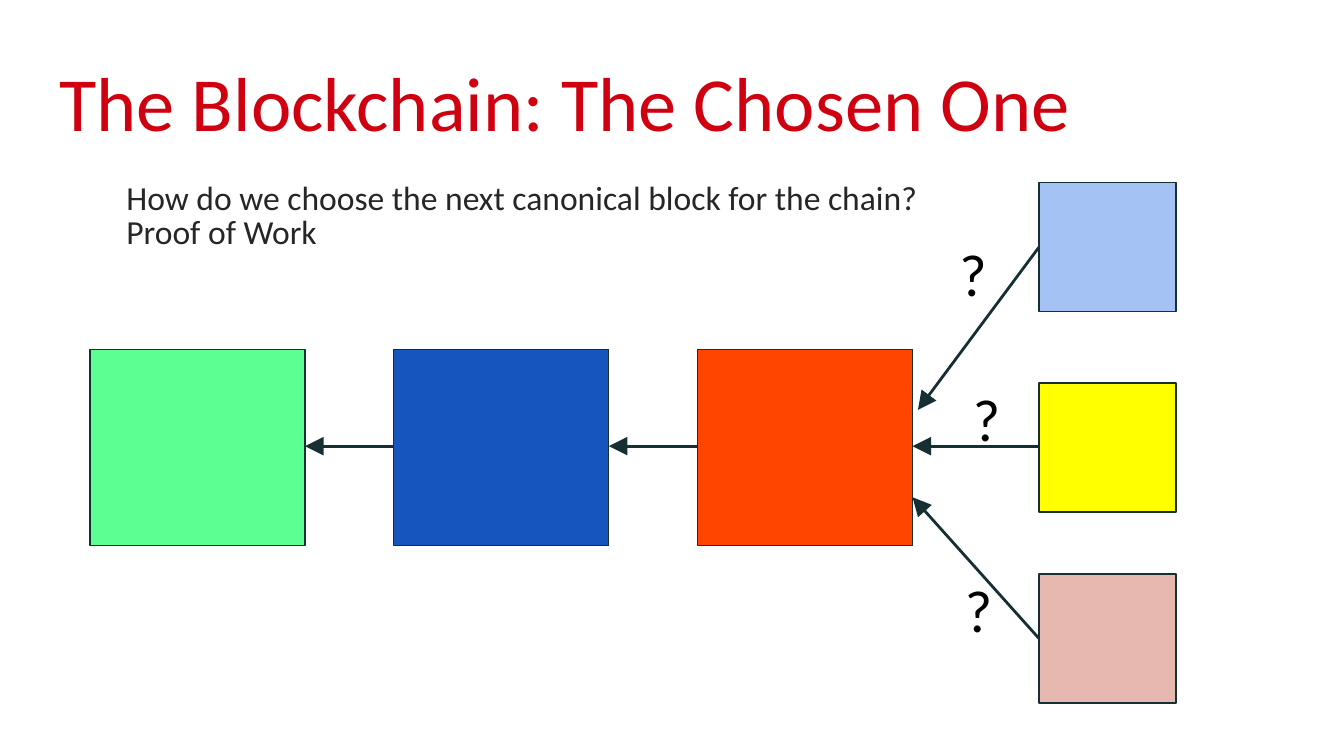
from dataclasses import dataclass

from lxml.etree import SubElement
from pptx import Presentation
from pptx.dml.color import RGBColor
from pptx.enum.shapes import MSO_CONNECTOR, MSO_SHAPE
from pptx.enum.text import MSO_ANCHOR, MSO_AUTO_SIZE, PP_ALIGN
from pptx.oxml.ns import qn
from pptx.util import Inches, Pt


@dataclass(frozen=True)
class Theme:
    title_color: str = "CF000F"
    body_color: str = "262626"
    mark_color: str = "000000"
    outline: str = "162F33"
    text_font: str = "Calibri"
    mark_font: str = "Lato"
    title_size: int = 41
    body_size: int = 18
    mark_size: int = 30
    tight: float = 0.85
    box_line: float = 0.75
    arrow_line: float = 1.5
    inset: float = 0.1


class SlideBuilder:
    def __init__(self, page, theme):
        self.page = page
        self.theme = theme

    def place(self, box, left, top, width, height, anchor=MSO_ANCHOR.TOP):
        box.left, box.top = Inches(left), Inches(top)
        box.width, box.height = Inches(width), Inches(height)
        frame = box.text_frame
        frame.word_wrap = True
        frame.auto_size = MSO_AUTO_SIZE.NONE
        frame.vertical_anchor = anchor
        frame.margin_left = frame.margin_right = Inches(self.theme.inset)
        frame.margin_top = frame.margin_bottom = Inches(self.theme.inset)
        return frame

    def span(self, para, text, font, size, color):
        para.alignment = PP_ALIGN.LEFT
        span = para.add_run()
        span.text = text
        span.font.name = font
        span.font.size = Pt(size)
        span.font.color.rgb = RGBColor.from_string(color)

    def title(self, text, *area):
        theme = self.theme
        frame = self.place(self.page.shapes.title, *area, MSO_ANCHOR.MIDDLE)
        para = frame.paragraphs[0]
        para.line_spacing = theme.tight
        self.span(para, text, theme.text_font, theme.title_size, theme.title_color)

    def body(self, lines, *area):
        theme = self.theme
        frame = self.place(self.page.placeholders[1], *area)
        for index, text in enumerate(lines):
            para = frame.add_paragraph() if index else frame.paragraphs[0]
            para.line_spacing = theme.tight
            para.space_before = Pt(0)
            properties = para._p.get_or_add_pPr()
            properties.set("marL", str(Inches(0.5)))
            properties.set("indent", "0")
            SubElement(properties, qn("a:buNone"))
            self.span(para, text, theme.text_font, theme.body_size, theme.body_color)

    def block(self, color, left, top, width, height):
        box = self.page.shapes.add_shape(
            MSO_SHAPE.FLOWCHART_PROCESS,
            Inches(left), Inches(top), Inches(width), Inches(height))
        box.shadow.inherit = False
        box.fill.solid()
        box.fill.fore_color.rgb = RGBColor.from_string(color)
        box.line.color.rgb = RGBColor.from_string(self.theme.outline)
        box.line.width = Pt(self.theme.box_line)

    def arrow(self, start, end):
        arrow = self.page.shapes.add_connector(
            MSO_CONNECTOR.STRAIGHT, *map(Inches, start + end))
        arrow.line.color.rgb = RGBColor.from_string(self.theme.outline)
        arrow.line.width = Pt(self.theme.arrow_line)
        SubElement(arrow.line._get_or_add_ln(), qn("a:tailEnd"),
                   type="triangle", w="lg", len="lg")
        SubElement(arrow._element.spPr, qn("a:effectLst"))

    def question_mark(self, left, top, width):
        theme = self.theme
        box = self.page.shapes.add_textbox(0, 0, 0, 0)
        frame = self.place(box, left, top, width, 0.63)
        self.span(frame.paragraphs[0], "?", theme.mark_font, theme.mark_size,
                  theme.mark_color)


def main():
    deck = Presentation()
    deck.slide_width = Inches(10)
    deck.slide_height = deck.slide_width * 9 // 16
    page = deck.slides.add_slide(deck.slide_layouts[1])
    builder = SlideBuilder(page, Theme())

    builder.title("The Blockchain: The Chosen One", 0.34, 0.49, 9.32, 0.63)
    builder.body(["How do we choose the next canonical block for the chain?",
                  "Proof of Work"], 0.34, 1.26, 9.32, 3.74)

    chain_left, chain_step, chain_width = 0.67, 2.26, 1.6
    chain_colors = ["5CFF91", "1556BE", "FF4500"]
    middle = 3.32
    for index, color in enumerate(chain_colors):
        left = chain_left + index * chain_step
        builder.block(color, left, 2.6, chain_width, 1.46)
        if index:
            previous_right = left - chain_step + chain_width
            builder.arrow((left, middle), (previous_right, middle))

    # Each candidate: fill, top, arrow start height, arrow tip, question mark area
    candidate_left = 7.73
    candidates = [
        ("A4C2F4", 1.36, 1.84, (6.83, 3.05), (7.05, 1.69, 0.46)),
        ("FFFF00", 2.85, middle, (6.79, middle), (7.15, 2.77, 0.66)),
        ("E6B8AF", 4.27, 4.75, (6.79, 3.7), (7.09, 4.19, 0.38)),
    ]
    for color, top, start, tip, mark in candidates:
        builder.block(color, candidate_left, top, 1.02, 0.96)
        builder.arrow((candidate_left, start), tip)
        builder.question_mark(*mark)

    deck.save("out.pptx")


if __name__ == "__main__":
    main()
